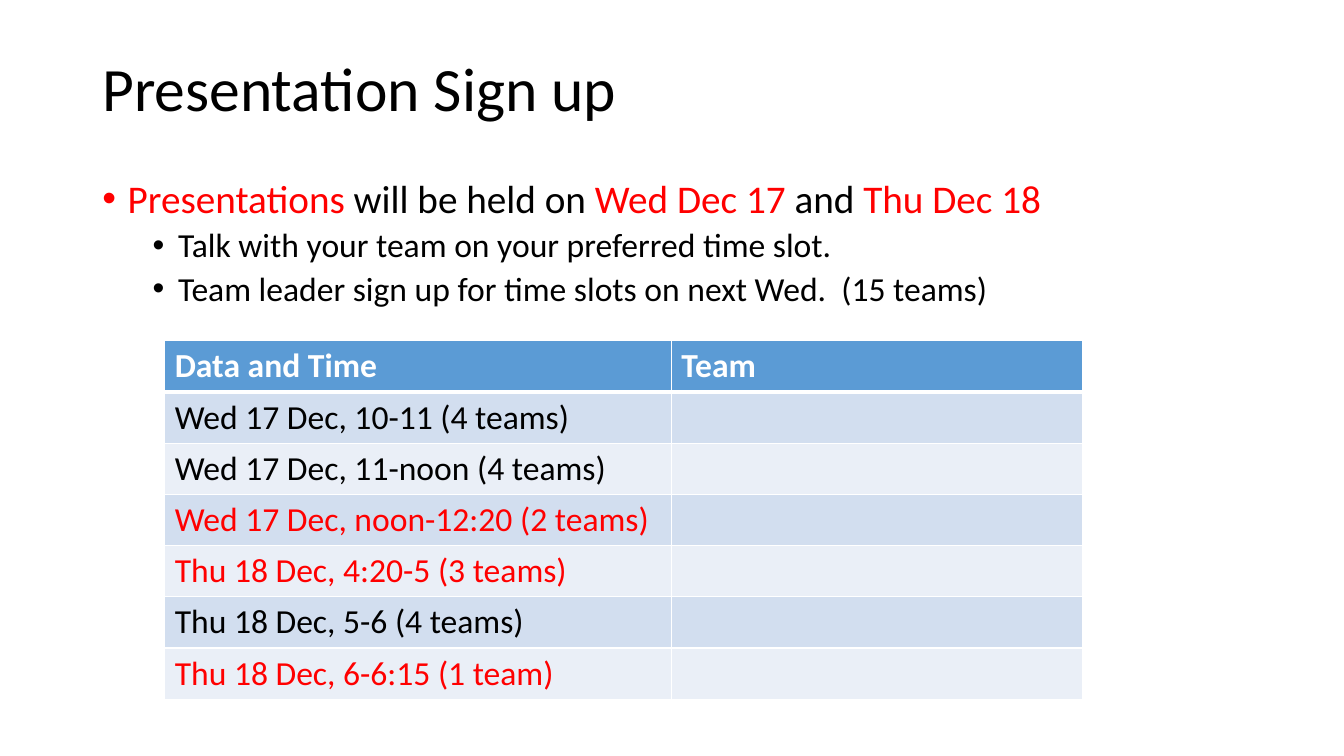
from dataclasses import dataclass

from lxml import etree
from pptx import Presentation
from pptx.dml.color import RGBColor
from pptx.enum.text import MSO_ANCHOR
from pptx.oxml.ns import qn
from pptx.util import Cm, Pt

MIDDLE = MSO_ANCHOR.MIDDLE
TOP = MSO_ANCHOR.TOP

FONT = "Calibri"
BLACK, WHITE, RED = "000000", "FFFFFF", "FF0000"
HEADER_BLUE = "5B9BD5"
BANDS = ("D2DEEF", "EAEFF7")
LINE_SPACING = 0.9


@dataclass(frozen=True)
class Point:
    """A bulleted line made of (text, colour) phrases."""
    phrases: tuple[tuple[str, str], ...]
    level: int
    size: float
    indent: float
    space_before: float


@dataclass(frozen=True)
class Slot:
    label: str
    color: str = BLACK


POINTS = (
    Point((("Presentations", RED), (" will be held on ", BLACK), ("Wed Dec 17 ", RED),
           ("and", BLACK), (" Thu Dec 18", RED)), 0, 28, 0.64, 0),
    Point((("Talk with your team on your preferred time slot.", BLACK),), 1, 24, 1.91, 5),
    Point((("Team leader sign up for time slots on next Wed.  (15 teams)", BLACK),),
          1, 24, 1.91, 5),
)
HEADINGS = ("Data and Time", "Team")
SLOTS = (
    Slot("Wed 17 Dec, 10-11 (4 teams)"),
    Slot("Wed 17 Dec, 11-noon (4 teams)"),
    Slot("Wed 17 Dec, noon-12:20 (2 teams)", RED),
    Slot("Thu 18 Dec, 4:20-5 (3 teams)", RED),
    Slot("Thu 18 Dec, 5-6 (4 teams)"),
    Slot("Thu 18 Dec, 6-6:15 (1 team)", RED),
)
COLUMN_WIDTHS = (12.77, 10.35)
ROW_HEIGHT = 1.29


def rgb(color: str) -> RGBColor:
    return RGBColor.from_string(color)


def set_font(font, size: float, color: str | None = None, bold: bool = False) -> None:
    font.name, font.size, font.bold = FONT, Pt(size), bold
    if color:
        font.color.rgb = rgb(color)


def add_frame(slide, top: float, height: float, anchor):
    frame = slide.shapes.add_textbox(Cm(2.33), Cm(top), Cm(29.21), Cm(height)).text_frame
    frame.word_wrap = True
    frame.vertical_anchor = anchor
    return frame


def add_bullet(paragraph, indent: float, color: str) -> None:
    properties = paragraph._p.get_or_add_pPr()
    properties.set("marL", str(Cm(indent)))
    properties.set("indent", str(-Cm(0.64)))
    bullet_color = etree.SubElement(properties, qn("a:buClr"))
    etree.SubElement(bullet_color, qn("a:srgbClr"), val=color)
    etree.SubElement(properties, qn("a:buFont"), typeface="Arial")
    etree.SubElement(properties, qn("a:buChar"), char="•")


def write_point(paragraph, point: Point) -> None:
    paragraph.level = point.level
    paragraph.line_spacing = LINE_SPACING
    paragraph.space_before = Pt(point.space_before)
    add_bullet(paragraph, point.indent, point.phrases[0][1])
    colors = {color for _, color in point.phrases}
    set_font(paragraph.font, point.size, colors.pop() if len(colors) == 1 else None)
    for text, color in point.phrases:
        run = paragraph.add_run()
        run.text = text
        if len(point.phrases) > 1:
            run.font.color.rgb = rgb(color)


def set_borders(cell, top: float, bottom: float) -> None:
    properties = cell._tc.get_or_add_tcPr()
    for side, width in (("L", 1), ("R", 1), ("T", top), ("B", bottom)):
        line = etree.SubElement(properties, qn(f"a:ln{side}"), w=str(Pt(width)))
        fill = etree.SubElement(line, qn("a:solidFill"))
        etree.SubElement(fill, qn("a:srgbClr"), val=WHITE)


def fill_row(table, row: int, texts: tuple[str, ...], color: str, background: str) -> None:
    is_header = row == 0
    for column, text in enumerate(texts):
        cell = table.cell(row, column)
        set_borders(cell, 3 if row == 1 else 1, 3 if is_header else 1)
        cell.fill.solid()
        cell.fill.fore_color.rgb = rgb(background)
        paragraph = cell.text_frame.paragraphs[0]
        set_font(paragraph.font, 24, color, is_header)
        if text:
            paragraph.add_run().text = text


def add_schedule(slide) -> None:
    rows = len(SLOTS) + 1
    table = slide.shapes.add_table(rows, len(HEADINGS), Cm(4.15), Cm(8.59),
                                   Cm(sum(COLUMN_WIDTHS)), Cm(rows * ROW_HEIGHT)).table
    for column, width in zip(table.columns, COLUMN_WIDTHS):
        column.width = Cm(width)
    for row in table.rows:
        row.height = Cm(ROW_HEIGHT)
    fill_row(table, 0, HEADINGS, WHITE, HEADER_BLUE)
    for index, slot in enumerate(SLOTS):
        fill_row(table, index + 1, (slot.label, ""), slot.color, BANDS[index % 2])


def main() -> None:
    deck = Presentation()
    deck.slide_width, deck.slide_height = Cm(33.87), Cm(19.05)
    slide = deck.slides.add_slide(deck.slide_layouts[6])

    # Title
    title = add_frame(slide, 1.01, 2.62, MIDDLE).paragraphs[0]
    title.line_spacing = LINE_SPACING
    set_font(title.font, 44, BLACK)
    title.add_run().text = "Presentation Sign up"

    # Announcement
    announcement = add_frame(slide, 4.4, 3.78, TOP)
    for index, point in enumerate(POINTS):
        write_point(announcement.add_paragraph() if index else announcement.paragraphs[0],
                    point)

    # Time slots
    add_schedule(slide)

    deck.save("out.pptx")


if __name__ == "__main__":
    main()
